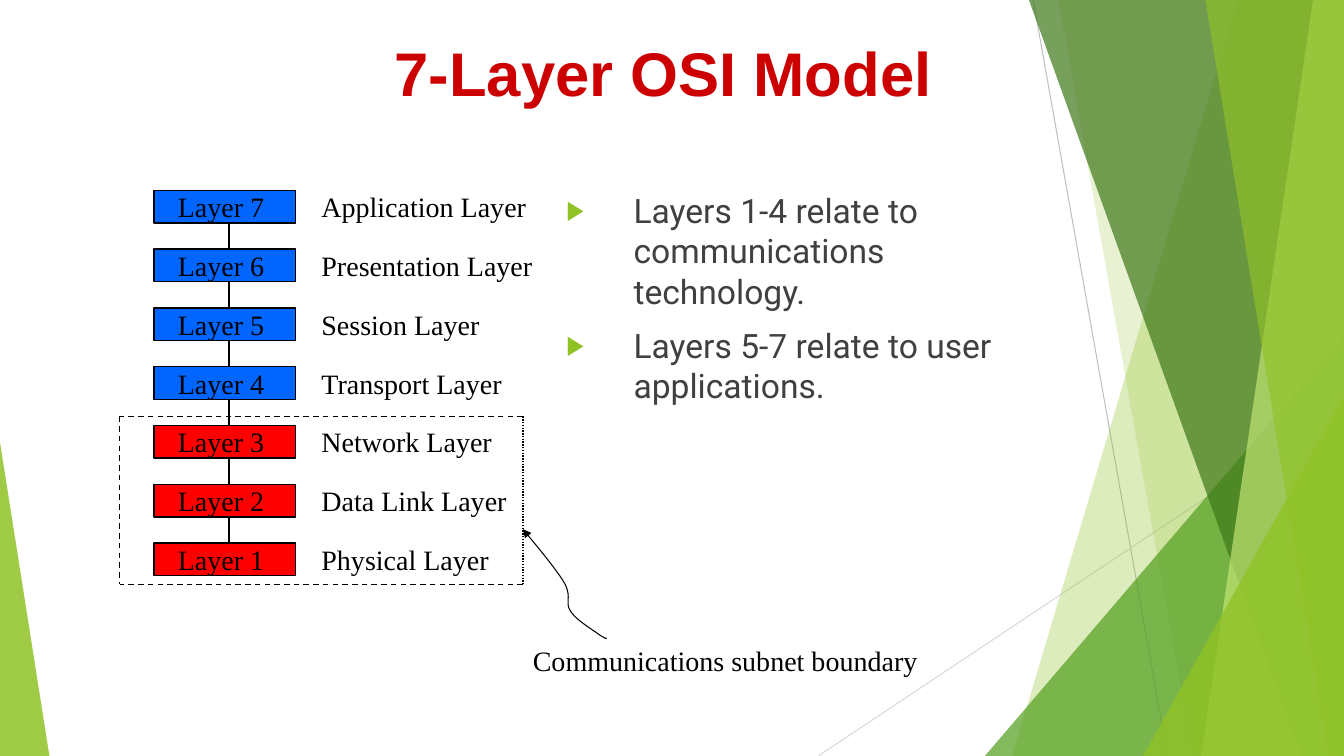
import pptx
import pptx.util
import pptx.dml.color
import pptx.enum.dml
import pptx.enum.shapes
import pptx.enum.text
import pptx.oxml
import pptx.oxml.ns
from dataclasses import dataclass
from pptx.util import Pt

SHAPE = pptx.enum.shapes.MSO_SHAPE
DASH = pptx.enum.dml.MSO_LINE


@dataclass(frozen=True)
class Theme:
    lime: str = "90C226"
    pale_lime: str = "C0E474"
    green: str = "54A021"
    dark_green: str = "3F7819"
    rule: str = "BFBFBF"
    light_rule: str = "D9D9D9"
    title: str = "CC0000"
    body: str = "404040"
    ink: str = "000000"
    upper: str = "0066FF"
    lower: str = "FF0000"
    title_font: str = "Arial"
    body_font: str = "Roboto"
    label_font: str = "Times New Roman"
    title_size: int = 44
    body_size: int = 24
    label_size: int = 20


T = Theme()
LAYERS = ["Application", "Presentation", "Session", "Transport",
          "Network", "Data Link", "Physical"]


def rgb(color):
    return pptx.dml.color.RGBColor.from_string(color)


def add_xml(parent, xml):
    """Append a DrawingML element, given without its namespace, to parent."""
    tag, rest = xml[1:].split(" ", 1)
    ns = pptx.oxml.ns.nsdecls("a")
    parent.append(pptx.oxml.parse_xml(f"<a:{tag} {ns} {rest}"))


def paint(sp, color, opacity=100):
    sp.shadow.inherit = False
    sp.fill.solid()
    sp.fill.fore_color.rgb = rgb(color)
    sp.line.fill.background()
    if opacity < 100:
        clr = sp.fill._xPr.find(".//" + pptx.oxml.ns.qn("a:srgbClr"))
        add_xml(clr, f'<alpha val="{opacity * 1000}"/>')


def style(p, font, size, color, bold=False):
    for r in p.runs:
        r.font.name, r.font.size, r.font.bold = font, Pt(size), bold
        r.font.color.rgb = rgb(color)


def add_line(s, x1, y1, x2, y2, color=T.ink, width=1, dash=None):
    line = s.shapes.add_connector(pptx.enum.shapes.MSO_CONNECTOR.STRAIGHT,
                                  Pt(x1), Pt(y1), Pt(x2), Pt(y2))
    line.line.color.rgb = rgb(color)
    line.line.width = Pt(width)
    if dash:
        line.line.dash_style = dash
    add_xml(line._element.spPr, "<effectLst />")


def add_outline(s, points, close):
    first, *rest = points
    fb = s.shapes.build_freeform(Pt(first[0]), Pt(first[1]))
    fb.add_line_segments([(Pt(x), Pt(y)) for x, y in rest], close=close)
    return fb.convert_to_shape()


def add_label(s, x, y, w, text):
    tf = s.shapes.add_textbox(Pt(x), Pt(y), Pt(w), Pt(32)).text_frame
    tf.word_wrap = True
    tf.text = text
    style(tf.paragraphs[0], T.label_font, T.label_size, T.ink)


def decoration(s, w, h):
    def band(top, bottom, color, opacity):
        """Fill from a slanted left side to the right slide edge."""
        corners = [(top, 0), (w, 0), (w, h), (bottom, h)]
        paint(add_outline(s, corners, True), color, opacity)

    def wedge(x, y, width, apex, color, opacity):
        sp = s.shapes.add_shape(SHAPE.ISOSCELES_TRIANGLE,
                                Pt(x), Pt(y), Pt(width), Pt(h - y))
        sp.adjustments[0] = apex
        paint(sp, color, opacity)

    add_line(s, w - 222, 0, w - 126, h, T.rule, 0.75)
    add_line(s, w, 290, w - 375.5, h, T.light_rule, 0.75)
    band(w - 76, w - 237, T.lime, 30)
    band(w - 204, w - 108, T.lime, 20)
    wedge(w - 256.5, 240, 256.5, 1, T.green, 72)
    band(w - 225, w - 30.5, T.dark_green, 70)
    band(w - 22, w - 102, T.pale_lime, 70)
    band(w - 99, w - 11, T.lime, 65)
    wedge(w - 143.5, 283, 143.5, 1, T.lime, 80)
    wedge(0, 316, 35.3, 0, T.lime, 85)


def title(s, x, y, w, h):
    sp = s.shapes.title
    sp.left, sp.top, sp.width, sp.height = Pt(x), Pt(y), Pt(w), Pt(h)
    tf = sp.text_frame
    tf.text = "7-Layer OSI Model "
    tf.auto_size = pptx.enum.text.MSO_AUTO_SIZE.NONE
    tf.vertical_anchor = pptx.enum.text.MSO_ANCHOR.MIDDLE
    p = tf.paragraphs[0]
    p.alignment = pptx.enum.text.PP_ALIGN.CENTER
    style(p, T.title_font, T.title_size, T.title, True)


def bullets(s, x, y, w, h, items):
    tf = s.shapes.add_textbox(Pt(x), Pt(y), Pt(w), Pt(h)).text_frame
    tf.word_wrap = True
    for i, item in enumerate(items):
        p = tf.add_paragraph() if i else tf.paragraphs[0]
        p.text = item
        if i:
            p.space_before = Pt(10)
        pPr = p._p.get_or_add_pPr()
        pPr.set("marL", str(Pt(48)))
        pPr.set("indent", str(-Pt(48)))
        add_xml(pPr, f'<buClr ><a:srgbClr val="{T.lime}"/></a:buClr>')
        add_xml(pPr, '<buSzPct val="80000"/>')
        add_xml(pPr, '<buFont typeface="Arial"/>')
        add_xml(pPr, '<buChar char="▶"/>')
        style(p, T.body_font, T.body_size, T.body)


def layer_stack(s, x, y, w, pitch):
    """Draw numbered layer boxes joined downwards, with names at the right."""
    box_h = 23.3
    for i, name in enumerate(LAYERS):
        number, top = len(LAYERS) - i, y + i * pitch
        sp = s.shapes.add_shape(SHAPE.RECTANGLE,
                                Pt(x), Pt(top), Pt(w), Pt(box_h))
        paint(sp, T.upper if number > 3 else T.lower)
        sp.line.color.rgb = rgb(T.ink)
        sp.line.width = Pt(1)
        add_label(s, x + 10, top - 4, 78, f"Layer {number}")
        add_label(s, x + w + 11.5, top - 4, 168, f"{name} Layer")
        if number > 1:
            add_line(s, x + 53.5, top + box_h, x + 53.5, top + pitch)


def subnet_boundary(s, x, y, w, h):
    right, bottom = x + w, y + h
    add_line(s, x, y, x, bottom, dash=DASH.DASH)
    add_line(s, right, y, right, bottom, dash=DASH.ROUND_DOT)
    for edge in (y, bottom):
        add_line(s, right, edge, x, edge, dash=DASH.DASH)
    add_label(s, right, bottom + 38.5, 353.5, "Communications subnet boundary")
    pointer(s, right, bottom - 39.5)


def bezier(a, b, c, d, steps=12):
    for k in range(1, steps + 1):
        t = k / steps
        u = 1 - t
        weights = (u ** 3, 3 * u * u * t, 3 * u * t * t, t ** 3)
        yield tuple(sum(m * q for m, q in zip(weights, axis))
                    for axis in zip(a, b, c, d))


def pointer(s, x, y):
    """Draw a curved arrow whose tip is at x, y."""
    knots = [(0, 0), (12, 14.5), (24.5, 29.5), (30, 39), (35, 49), (30, 52.5),
             (34, 58.5), (38, 65), (49.5, 71.5), (54, 75), (58.5, 78),
             (59, 78), (60, 78)]
    knots = [(x + dx, y + dy) for dx, dy in knots]
    points = knots[:1]
    for i in range(0, len(knots) - 1, 3):
        points += bezier(*knots[i:i + 4])
    sp = add_outline(s, points, False)
    sp.shadow.inherit = False
    sp.fill.background()
    sp.line.color.rgb = rgb(T.ink)
    sp.line.width = Pt(0.75)
    add_xml(sp.line._get_or_add_ln(), '<headEnd type="triangle"/>')


def main():
    prs = pptx.Presentation()
    prs.slide_width, prs.slide_height = Pt(960), Pt(540)
    s = prs.slides.add_slide(prs.slide_layouts[5])
    decoration(s, 960, 540)
    bullets(s, 397.5, 132, 342, 204,
            ["Layers 1-4 relate to communications technology.",
             "Layers 5-7 relate to user applications."])
    title(s, 174, 6, 612, 90)
    layer_stack(s, 110, 136, 101, 42)
    subnet_boundary(s, 85.5, 297.5, 288, 120)
    prs.save("out.pptx")


if __name__ == "__main__":
    main()
